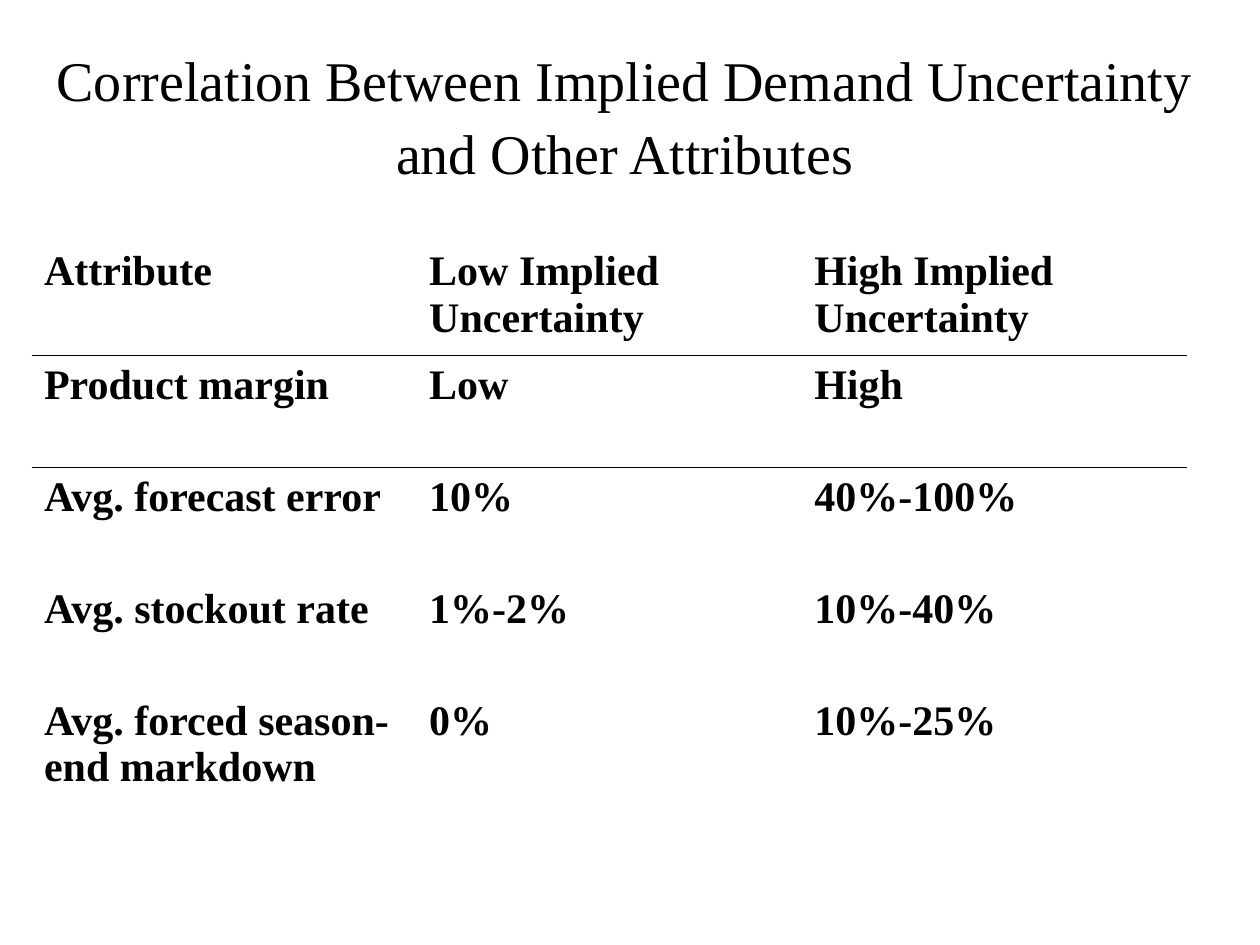
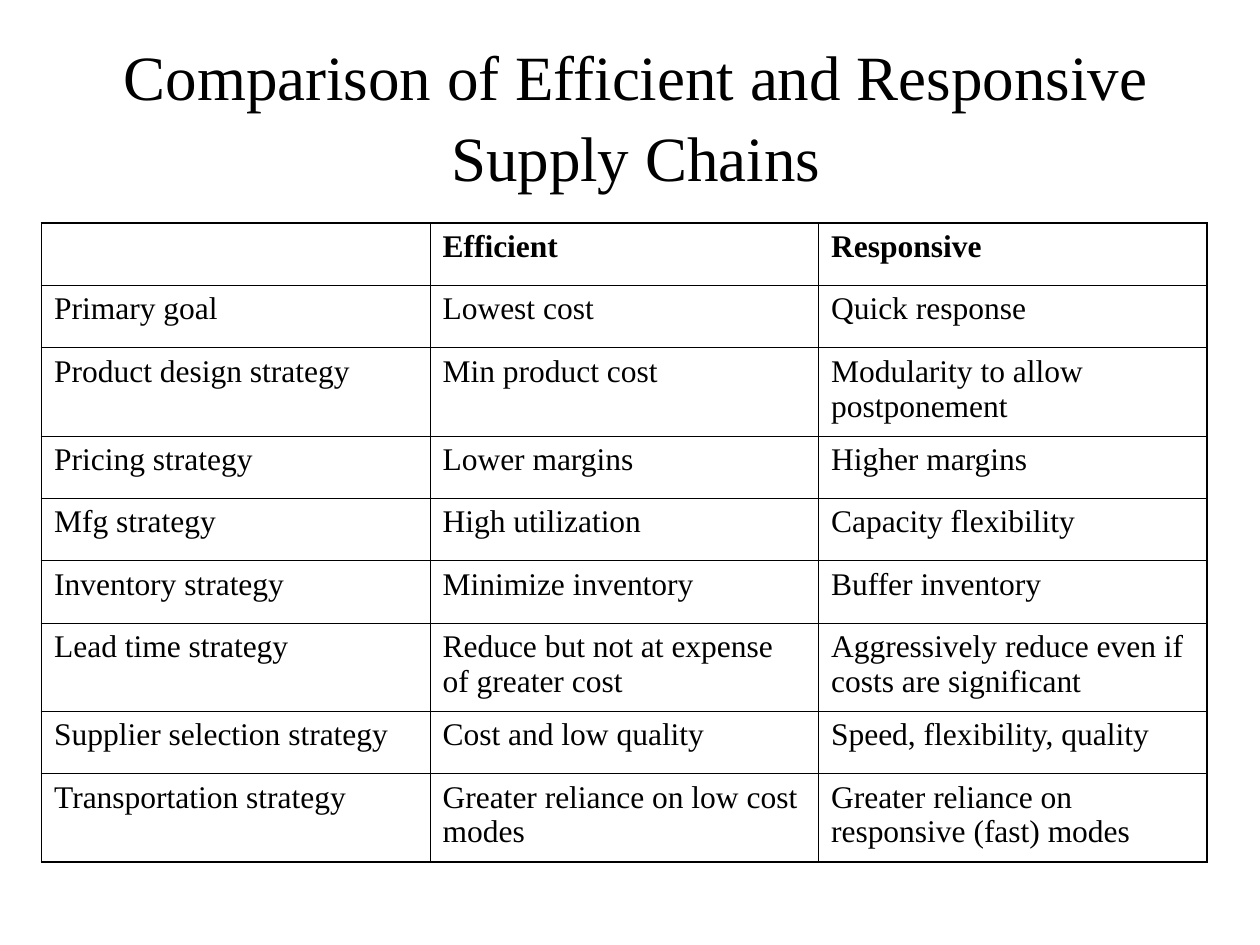
from dataclasses import dataclass

from lxml import etree
from pptx import Presentation
from pptx.dml.color import RGBColor
from pptx.enum.text import MSO_ANCHOR, PP_ALIGN
from pptx.oxml.ns import qn
from pptx.slide import Slide
from pptx.table import _Cell
from pptx.text.text import _Paragraph
from pptx.util import Inches, Length, Pt


@dataclass(frozen=True)
class Theme:
    font: str = "Times New Roman"
    ink: str = "000000"
    paper: str = "FFFFFF"
    title_spacing: float = 1.08
    thick: Length = Pt(1.08)
    thin: Length = Pt(0.45)
    plain_table_style: str = "{2D5ABB26-0587-4C30-8999-92F81FD0307C}"


THEME = Theme()


@dataclass(frozen=True)
class Title:
    text: str
    left: float
    width: float
    size: float


@dataclass(frozen=True)
class Comparison:
    """A three-column table; grid draws every border, otherwise only a header rule."""
    rows: list[tuple[str, str, str]]
    left: float
    top: float
    width: float
    row_heights: list[float]
    size: float
    bold_body: bool
    grid: bool


ATTRIBUTE_TITLE = Title(
    "Correlation Between Implied Demand Uncertainty and Other Attributes",
    left=0.25, width=9.42, size=32)

ATTRIBUTES = Comparison(
    rows=[
        ("Attribute", "Low Implied Uncertainty", "High Implied Uncertainty"),
        ("Product margin", "Low", "High"),
        ("Avg. forecast error", "10%", "40%-100%"),
        ("Avg. stockout rate", "1%-2%", "10%-40%"),
        ("Avg. forced season-end markdown", "0%", "10%-25%"),
    ],
    left=0.25, top=1.92, width=9.17, row_heights=[0.9, 0.89, 0.89, 0.89, 0.9],
    size=24, bold_body=True, grid=False)

STRATEGY_TITLE = Title(
    "Comparison of Efficient and Responsive Supply Chains",
    left=0.42, width=9.25, size=36)

ONE_LINE, TWO_LINES = 0.495, 0.7
STRATEGIES = Comparison(
    rows=[
        ("", "Efficient", "Responsive"),
        ("Primary goal", "Lowest cost", "Quick response"),
        ("Product design strategy", "Min product cost",
         "Modularity to allow postponement"),
        ("Pricing strategy", "Lower margins", "Higher margins"),
        ("Mfg strategy", "High utilization", "Capacity flexibility"),
        ("Inventory strategy", "Minimize inventory", "Buffer inventory"),
        ("Lead time strategy", "Reduce but not at expense of greater cost",
         "Aggressively reduce even if costs are significant"),
        ("Supplier selection strategy", "Cost and low quality",
         "Speed, flexibility, quality"),
        ("Transportation strategy", "Greater reliance on low cost modes",
         "Greater reliance on responsive (fast) modes"),
    ],
    left=0.33, top=1.77, width=9.25,
    row_heights=[TWO_LINES if row in (2, 6, 8) else ONE_LINE for row in range(9)],
    size=18, bold_body=False, grid=True)


def style_text(paragraph: _Paragraph, size: float, bold: bool = False) -> None:
    font = paragraph.font
    font.name = THEME.font
    font.size = Pt(size)
    font.bold = bold
    font.color.rgb = RGBColor.from_string(THEME.ink)


def add_title(slide: Slide, title: Title) -> None:
    box = slide.shapes.add_textbox(
        Inches(title.left), Inches(0.29), Inches(title.width), Inches(1.21))
    frame = box.text_frame
    frame.word_wrap = True
    frame.vertical_anchor = MSO_ANCHOR.MIDDLE
    paragraph = frame.paragraphs[0]
    paragraph.text = title.text
    paragraph.alignment = PP_ALIGN.CENTER
    paragraph.line_spacing = THEME.title_spacing
    style_text(paragraph, title.size)


def cell_borders(comparison: Comparison, row: int, column: int) -> dict[str, Length]:
    """Border widths by side, in the order the cell XML requires."""
    if not comparison.grid:
        return {0: {"B": THEME.thick}, 1: {"T": THEME.thick}}.get(row, {})
    outer = {
        "L": column == 0,
        "R": column == len(comparison.rows[0]) - 1,
        "T": row == 0,
        "B": row == len(comparison.rows) - 1,
    }
    return {side: THEME.thick if edge else THEME.thin for side, edge in outer.items()}


def draw_borders(cell: _Cell, widths: dict[str, Length]) -> None:
    properties = cell._tc.get_or_add_tcPr()
    for side, width in widths.items():
        line = etree.SubElement(properties, qn(f"a:ln{side}"), w=str(width))
        fill = etree.SubElement(line, qn("a:solidFill"))
        etree.SubElement(fill, qn("a:srgbClr"), val=THEME.ink)


def add_comparison(slide: Slide, comparison: Comparison) -> None:
    column_count = len(comparison.rows[0])
    frame = slide.shapes.add_table(
        len(comparison.rows), column_count,
        Inches(comparison.left), Inches(comparison.top),
        Inches(comparison.width), Inches(sum(comparison.row_heights)))
    table = frame.table
    table.horz_banding = False
    table._tbl.tblPr.find(qn("a:tableStyleId")).text = THEME.plain_table_style
    for column in table.columns:
        column.width = Inches(comparison.width / column_count)
    for row, (entries, height) in enumerate(zip(comparison.rows, comparison.row_heights)):
        table.rows[row].height = Inches(height)
        for column, entry in enumerate(entries):
            cell = table.cell(row, column)
            cell.text = entry
            style_text(cell.text_frame.paragraphs[0], comparison.size,
                       bold=row == 0 or comparison.bold_body)
            draw_borders(cell, cell_borders(comparison, row, column))
            cell.fill.background()


def main() -> None:
    deck = Presentation()
    deck.slide_width, deck.slide_height = Inches(10), Inches(7.5)
    for title, comparison in ((ATTRIBUTE_TITLE, ATTRIBUTES), (STRATEGY_TITLE, STRATEGIES)):
        slide = deck.slides.add_slide(deck.slide_layouts[6])
        background = slide.background.fill
        background.solid()
        background.fore_color.rgb = RGBColor.from_string(THEME.paper)
        add_title(slide, title)
        add_comparison(slide, comparison)
    deck.save("out.pptx")


if __name__ == "__main__":
    main()
